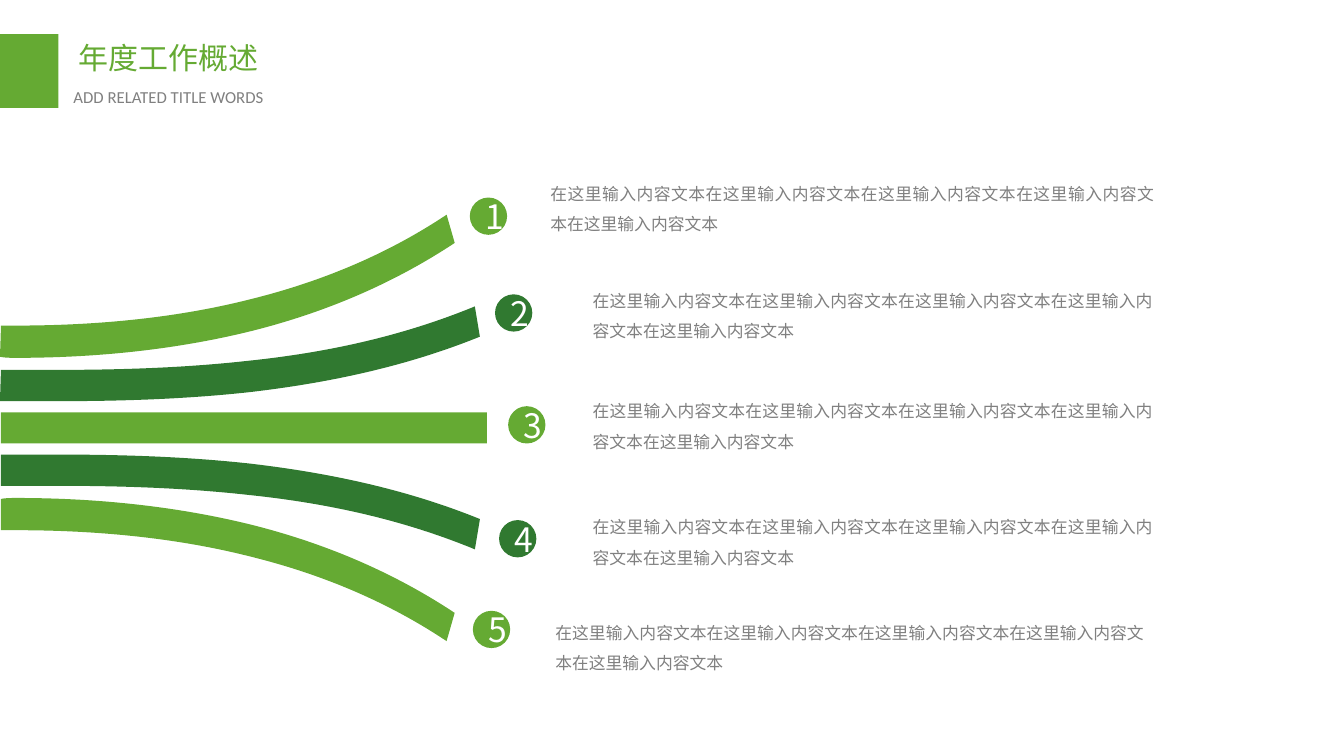
from lxml.etree import SubElement
from pptx import Presentation
from pptx.dml.color import RGBColor as RGB
from pptx.enum.shapes import MSO_SHAPE as Shape
from pptx.enum.text import MSO_ANCHOR as Anchor, MSO_AUTO_SIZE as Fit, PP_ALIGN as Align
from pptx.oxml.ns import qn
from pptx.util import Inches, Pt


class Theme:
    light = RGB(0x65, 0xAA, 0x33)
    dark = RGB(0x30, 0x79, 0x30)
    gray = RGB(0x80, 0x80, 0x80)
    white = RGB(0xFF, 0xFF, 0xFF)
    han = "Noto Sans CJK SC"
    latin = "Calibri"
    title = Pt(21.4)
    body = Pt(12)
    digit = Pt(24)


def paint(shape, color):
    shape.shadow.inherit = False
    shape.fill.solid()
    shape.fill.fore_color.rgb = color
    shape.line.fill.background()


def write(shape, text, size, color, face=Theme.han, align=Align.JUSTIFY):
    frame = shape.text_frame
    frame.text = text
    frame.word_wrap = True
    para = frame.paragraphs[0]
    para.alignment = align
    font = para.runs[0].font
    font.size, font.name = size, face
    font.color.rgb = color
    SubElement(font._element, qn("a:ea")).set("typeface", face)
    return frame


deck = Presentation()
deck.slide_width, deck.slide_height = Inches(13.33), Inches(7.5)
slide = deck.slides.add_slide(deck.slide_layouts[6])
shapes = slide.shapes

# Header
block = shapes.add_shape(Shape.RECTANGLE, 0, Inches(0.34), Inches(0.58), Inches(0.73))
paint(block, Theme.light)
heads = [
    (0.68, 0.34, 2.68, 0.46, "年度工作概述", Theme.title, Theme.light, Theme.han),
    (0.63, 0.81, 2.97, 0.3, "ADD RELATED TITLE WORDS", Theme.body, Theme.gray, Theme.latin),
]
for left, top, width, height, text, size, color, face in heads:
    box = shapes.add_textbox(Inches(left), Inches(top), Inches(width), Inches(height))
    write(box, text, size, color, face).auto_size = Fit.SHAPE_TO_FIT_TEXT

# Straight middle band
bar = shapes.add_shape(Shape.RECTANGLE, Inches(0.01), Inches(4.09), Inches(4.82), Inches(0.31))
paint(bar, Theme.light)

# Curved bands: each edge is a chain of cubic curves sharing end points
bands = [
    (Theme.dark,
     [(4.71, 3.04), (3.98, 3.34), (3.23, 3.5), (2.46, 3.58), (1.83, 3.65),
      (1.19, 3.67), (0.54, 3.67), (0.36, 3.67), (0.18, 3.67), (0.01, 3.67)],
     [(0, 3.98), (0.18, 3.98), (0.36, 3.98), (0.55, 3.98), (1.2, 3.98),
      (1.84, 3.96), (2.48, 3.89), (3.25, 3.8), (4.02, 3.64), (4.76, 3.34)]),
    (Theme.light,
     [(4.43, 2.13), (3.83, 2.53), (3.17, 2.8), (2.48, 2.97), (1.73, 3.16),
      (0.93, 3.23), (0.16, 3.23), (0.11, 3.23), (0.06, 3.23), (0.01, 3.23)],
     [(0, 3.54), (0.05, 3.55), (0.11, 3.55), (0.16, 3.55), (0.95, 3.55),
      (1.75, 3.47), (2.51, 3.28), (3.22, 3.1), (3.89, 2.82), (4.51, 2.41)]),
]
mirror = 8.49  # twice the height of the axis between upper and lower bands
for flip in (False, True):
    for color, upper, lower in bands:
        dots = upper + lower[:1] * 3 + lower[1:] + upper[:1] * 3
        if flip:
            dots = [(max(x, 0.01), mirror - y) for x, y in dots]
        dots = [(Inches(x), Inches(y)) for x, y in dots]
        pen = shapes.build_freeform(*dots[0])
        pen.add_line_segments(dots[1:], close=True)
        band = pen.convert_to_shape()
        paint(band, color)
        # Every three segments become one cubic curve
        lines = list(band._element.iter(qn("a:lnTo")))
        for i in range(0, len(lines), 3):
            curve = lines[i].makeelement(qn("a:cubicBezTo"))
            lines[i].addprevious(curve)
            for line in lines[i:i + 3]:
                curve.append(line[0])
                line.getparent().remove(line)

# Texts: left, top, width
texts = [
    (5.36, 1.67, 6.19),
    (5.78, 2.73, 5.76),
    (5.78, 3.83, 5.76),
    (5.78, 4.98, 5.76),
    (5.41, 6.03, 6.04),
]
for left, top, width in texts:
    box = shapes.add_textbox(Inches(left), Inches(top), Inches(width), Inches(0.71))
    frame = write(box, "在这里输入内容文本" * 5, Theme.body, Theme.gray)
    frame.paragraphs[0].line_spacing = 1.5
    frame.auto_size = Fit.SHAPE_TO_FIT_TEXT

# Numbered dots
spots = [(4.66, 1.96), (4.91, 2.92), (5.04, 4.03), (4.95, 5.16), (4.69, 6.06)]
for num, (x, y) in enumerate(spots, 1):
    dot = shapes.add_shape(Shape.OVAL, Inches(x), Inches(y), Inches(0.37), Inches(0.37))
    paint(dot, Theme.light if num % 2 else Theme.dark)
    frame = write(dot, str(num), Theme.digit, Theme.white, align=Align.CENTER)
    frame.vertical_anchor = Anchor.MIDDLE

deck.save("out.pptx")
